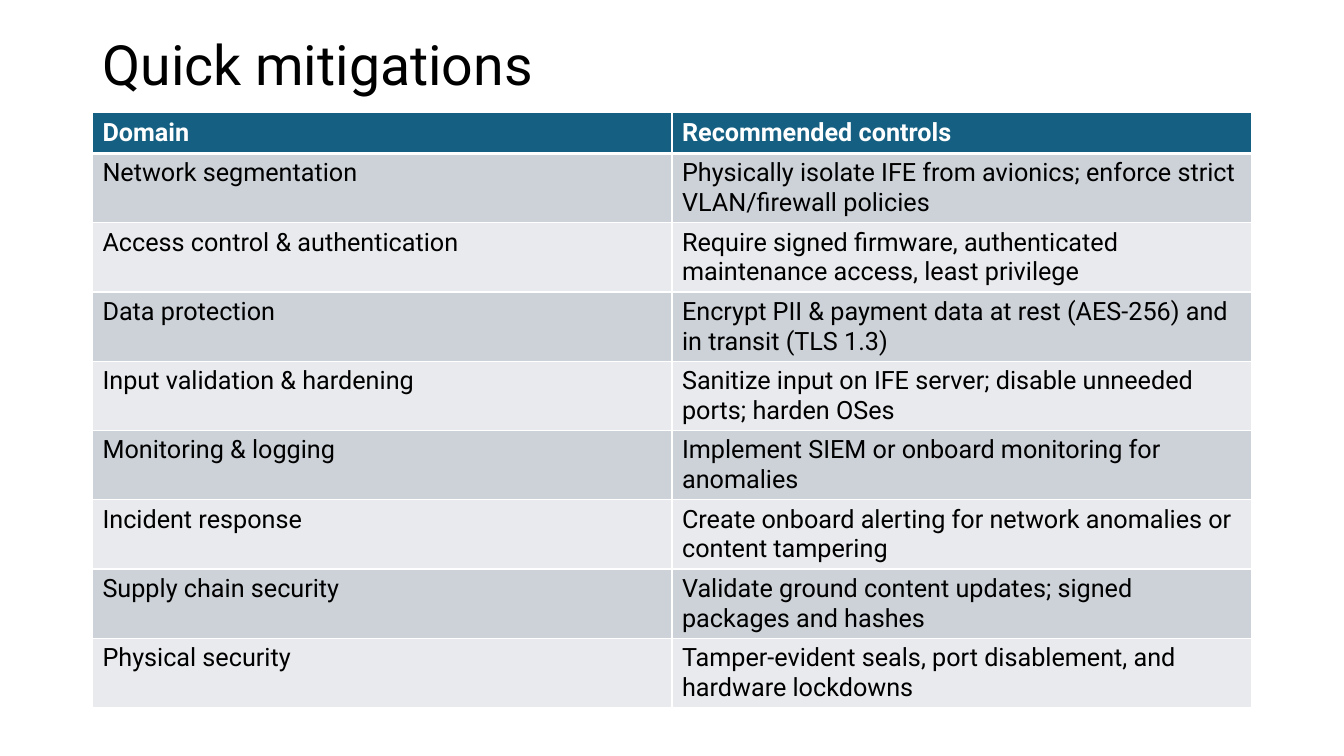
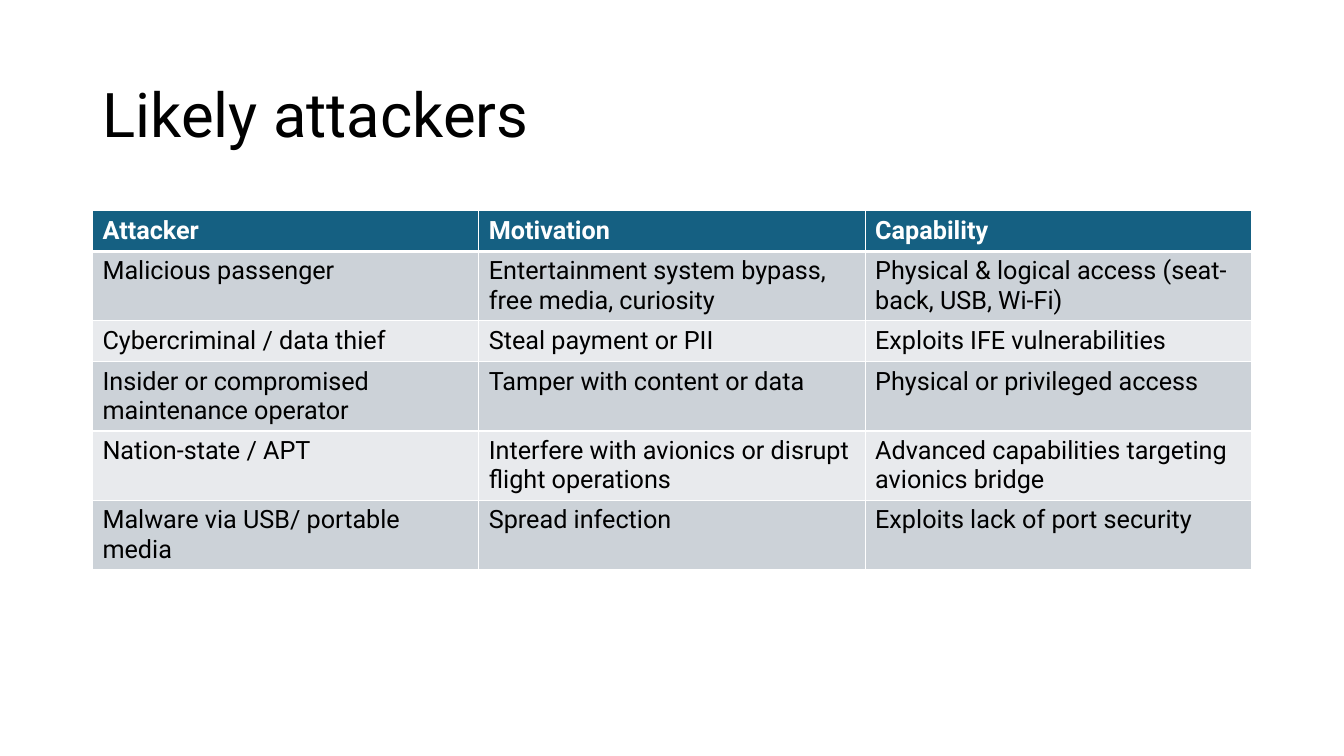
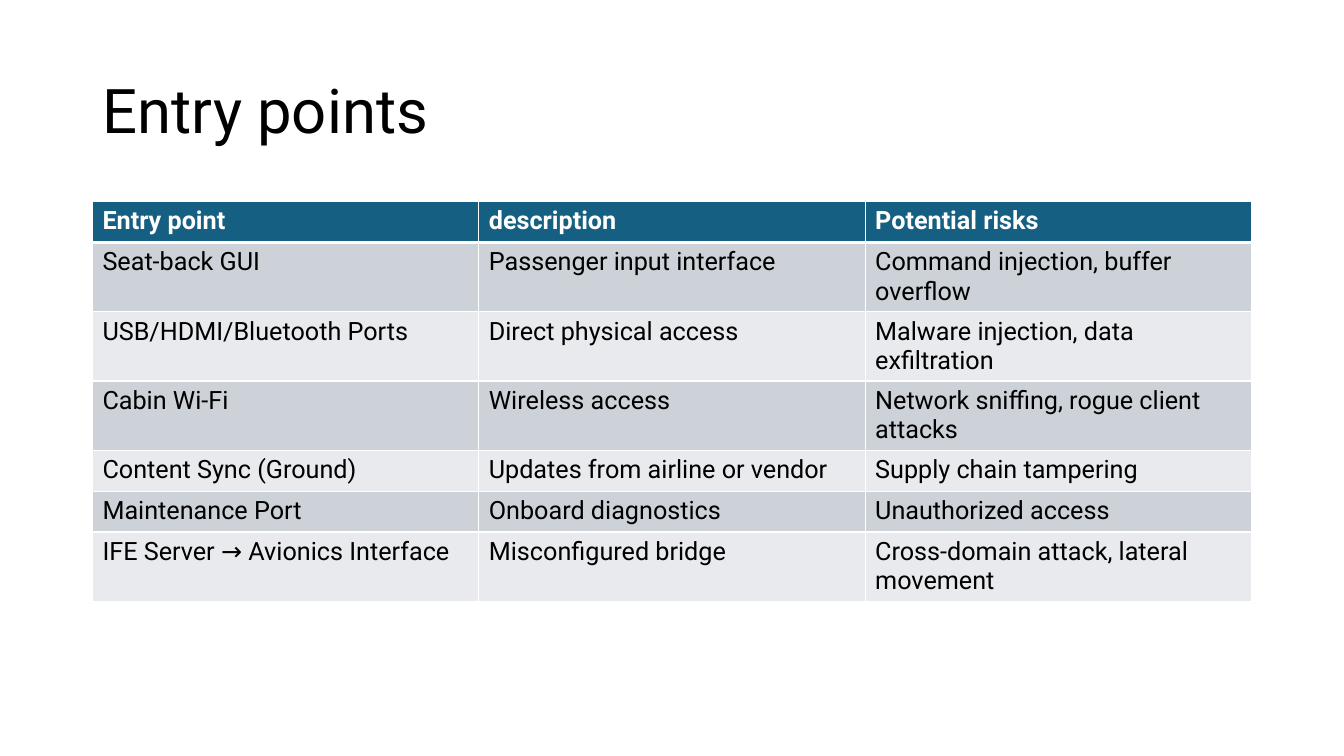
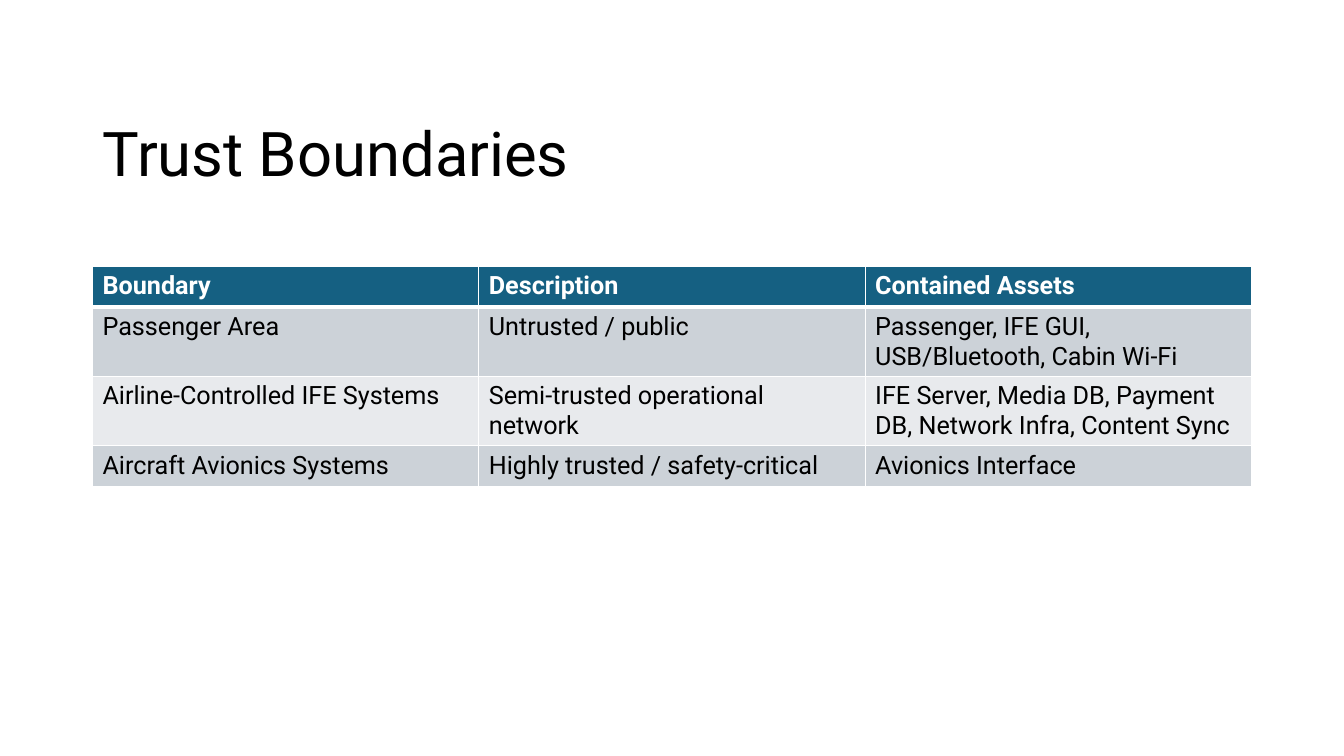
import pptx
import pptx.dml.color
import pptx.enum.text
import pptx.oxml
import pptx.oxml.ns
import pptx.util

Cm = pptx.util.Cm
Pt = pptx.util.Pt
RGB = pptx.dml.color.RGBColor

WHITE = RGB(0xFF, 0xFF, 0xFF)
BLACK = RGB(0x00, 0x00, 0x00)
TEAL = RGB(0x15, 0x60, 0x82)
GRAY = RGB(0xCC, 0xD2, 0xD8)
PALE = RGB(0xE8, 0xEA, 0xED)

FACE = "Roboto"
LEFT, WIDTH = Cm(2.33), Cm(29.21)
ROW = Cm(1.03)
HEAD = {"name": FACE, "size": Pt(18), "bold": True}
BODY = {**HEAD, "bold": False}

# Each slide: title, (top, height) and size of title, (top, height) and rows of table
DECK = [
    ("Quick mitigations", (1.02, 1.37), 39.6, (2.84, 15.27), [
        ("Domain", "Recommended controls"),
        ("Network segmentation",
         "Physically isolate IFE from avionics; enforce strict VLAN/firewall policies"),
        ("Access control & authentication",
         "Require signed firmware, authenticated maintenance access, least privilege"),
        ("Data protection",
         "Encrypt PII & payment data at rest (AES-256) and in transit (TLS 1.3)"),
        ("Input validation & hardening",
         "Sanitize input on IFE server; disable unneeded ports; harden OSes"),
        ("Monitoring & logging",
         "Implement SIEM or onboard monitoring for anomalies"),
        ("Incident response",
         "Create onboard alerting for network anomalies or content tampering"),
        ("Supply chain security",
         "Validate ground content updates; signed packages and hashes"),
        ("Physical security",
         "Tamper-evident seals, port disablement, and hardware lockdowns"),
    ]),
    ("Likely attackers", (1.83, 2.26), 44, (5.31, 8.43), [
        ("Attacker", "Motivation", "Capability"),
        ("Malicious passenger",
         "Entertainment system bypass, free media, curiosity",
         "Physical & logical access (seat-back, USB, Wi-Fi)"),
        ("Cybercriminal / data thief", "Steal payment or PII",
         "Exploits IFE vulnerabilities"),
        ("Insider or compromised maintenance operator",
         "Tamper with content or data", "Physical or privileged access"),
        ("Nation-state / APT",
         "Interfere with avionics or disrupt flight operations",
         "Advanced capabilities targeting avionics bridge"),
        ("Malware via USB/ portable media", "Spread infection",
         "Exploits lack of port security"),
    ]),
    ("Entry points", (1.02, 3.68), 44, (5.08, 10.21), [
        ("Entry point", "description", "Potential risks"),
        ("Seat-back GUI", "Passenger input interface",
         "Command injection, buffer overflow"),
        ("USB/HDMI/Bluetooth Ports", "Direct physical access",
         "Malware injection, data exfiltration"),
        ("Cabin Wi-Fi", "Wireless access",
         "Network sniffing, rogue client attacks"),
        ("Content Sync (Ground)", "Updates from airline or vendor",
         "Supply chain tampering"),
        ("Maintenance Port", "Onboard diagnostics", "Unauthorized access"),
        ("IFE Server → Avionics Interface", "Misconfigured bridge",
         "Cross-domain attack, lateral movement"),
    ]),
    ("Trust Boundaries", (2.11, 3.68), 44, (6.71, 5.61), [
        ("Boundary", "Description", "Contained Assets"),
        ("Passenger Area", "Untrusted / public",
         "Passenger, IFE GUI, USB/Bluetooth, Cabin Wi-Fi"),
        ("Airline-Controlled IFE Systems", "Semi-trusted operational network",
         "IFE Server, Media DB, Payment DB, Network Infra, Content Sync"),
        ("Aircraft Avionics Systems", "Highly trusted / safety-critical",
         "Avionics Interface"),
    ]),
]


def style(font, color, form):
    """Apply a dict of format values and a colour to a font."""
    for key, value in form.items():
        setattr(font, key, value)
    font.color.rgb = color


def border(cell, top, bottom):
    """Draw white cell borders; top and bottom are widths in points."""
    props = cell._tc.get_or_add_tcPr()
    sides = {"lnL": 1, "lnR": 1, "lnT": top, "lnB": bottom}
    for spot, (tag, width) in enumerate(sides.items()):
        line = pptx.oxml.parse_xml(
            f'<a:{tag} {pptx.oxml.ns.nsdecls("a")} w="{Pt(width)}">'
            f'<a:solidFill><a:srgbClr val="{WHITE}"/></a:solidFill></a:{tag}>')
        props.insert(spot, line)


def title(slide, text, box, size):
    """Place and format the title placeholder."""
    shape = slide.shapes.title
    shape.left, shape.top, shape.width, shape.height = box
    frame = shape.text_frame
    frame.text = text
    frame.word_wrap = True
    frame.auto_size = pptx.enum.text.MSO_AUTO_SIZE.NONE
    frame.vertical_anchor = pptx.enum.text.MSO_ANCHOR.MIDDLE
    para = frame.paragraphs[0]
    para.alignment = pptx.enum.text.PP_ALIGN.LEFT
    para.line_spacing = 0.9
    style(para.font, BLACK, {"name": FACE, "size": Pt(size)})


def table(slide, rows, box):
    """Fill a banded table with equal columns; rows grow with their text."""
    left, top, width, height = box
    shape = slide.shapes.add_table(
        len(rows), len(rows[0]), left, top, width, ROW * len(rows))
    grid = shape.table
    for r, texts in enumerate(rows):
        grid.rows[r].height = ROW
        for c, text in enumerate(texts):
            cell = grid.cell(r, c)
            cell.text = text
            cell.fill.solid()
            cell.fill.fore_color.rgb = TEAL if r == 0 else GRAY if r % 2 else PALE
            # A thick rule parts the header from the body
            border(cell, 3 if r == 1 else 1, 3 if r == 0 else 1)
            style(cell.text_frame.paragraphs[0].font,
                  BLACK if r else WHITE, BODY if r else HEAD)
    shape.height = height


def span(top, height):
    """Return a full-width box inside the side margins."""
    return LEFT, Cm(top), WIDTH, Cm(height)


def main():
    deck = pptx.Presentation()
    deck.slide_width, deck.slide_height = Cm(33.87), Cm(19.05)
    for text, head, size, body, rows in DECK:
        slide = deck.slides.add_slide(deck.slide_layouts[5])
        title(slide, text, span(*head), size)
        table(slide, rows, span(*body))
    deck.save("out.pptx")


if __name__ == "__main__":
    main()
